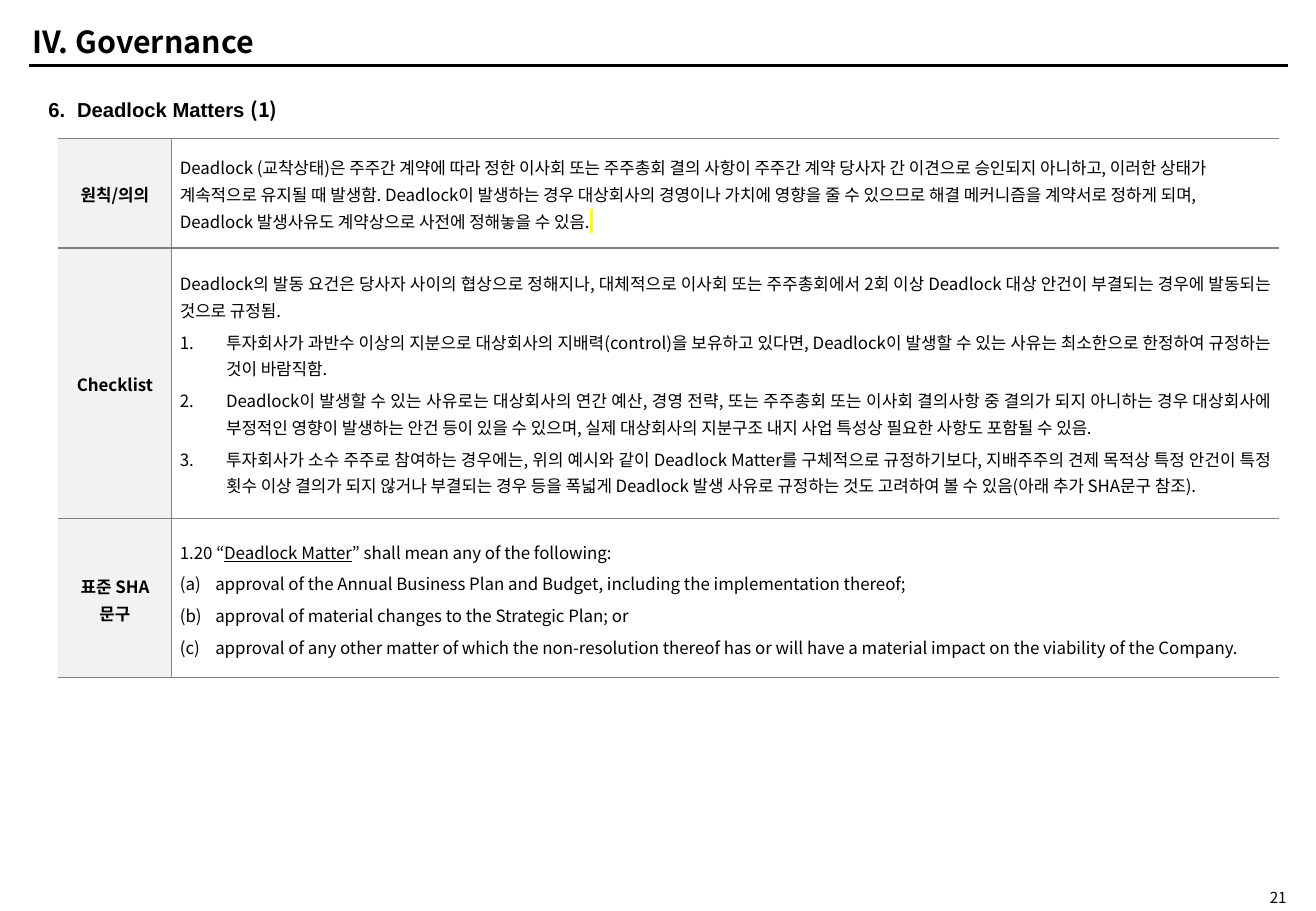
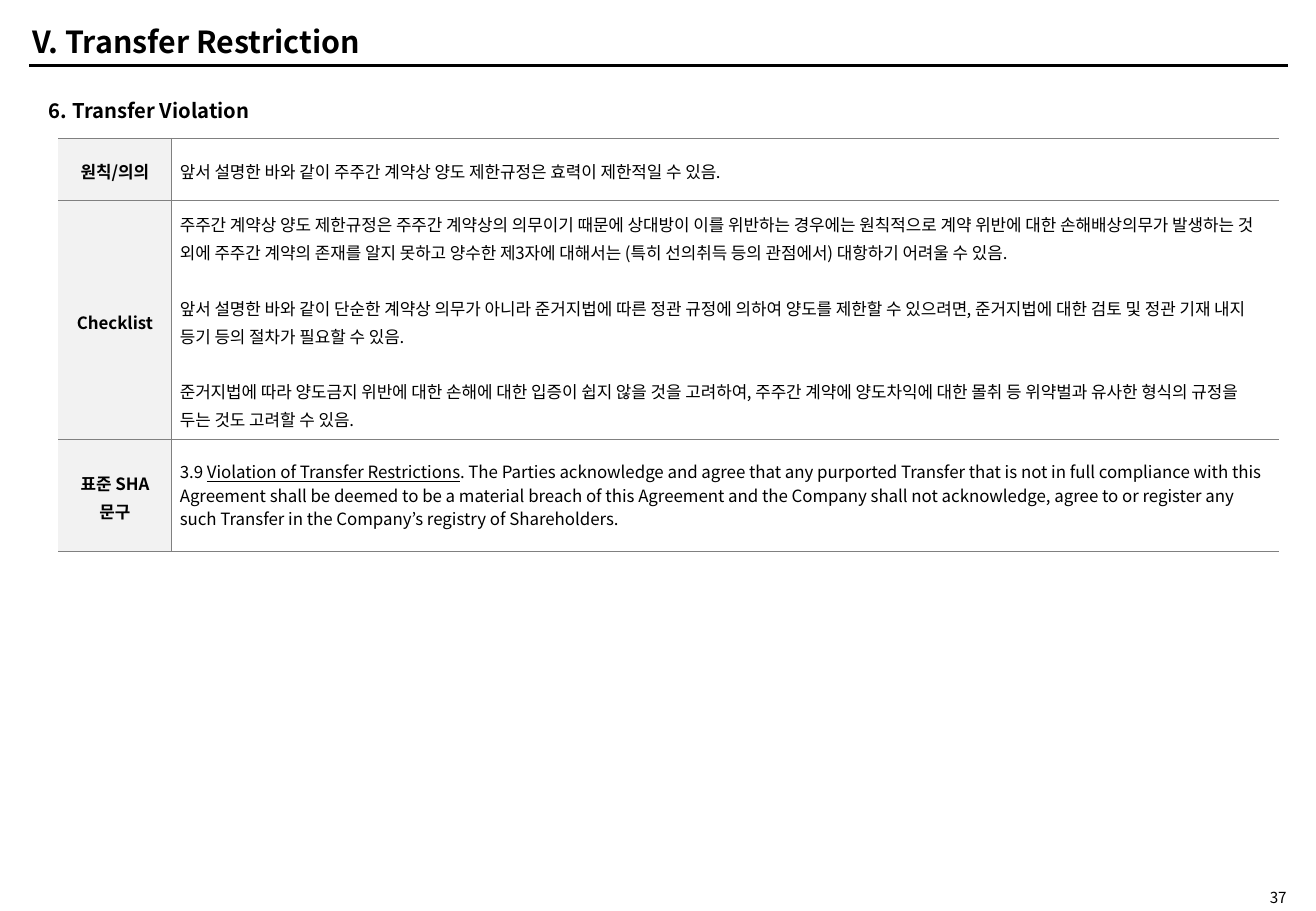
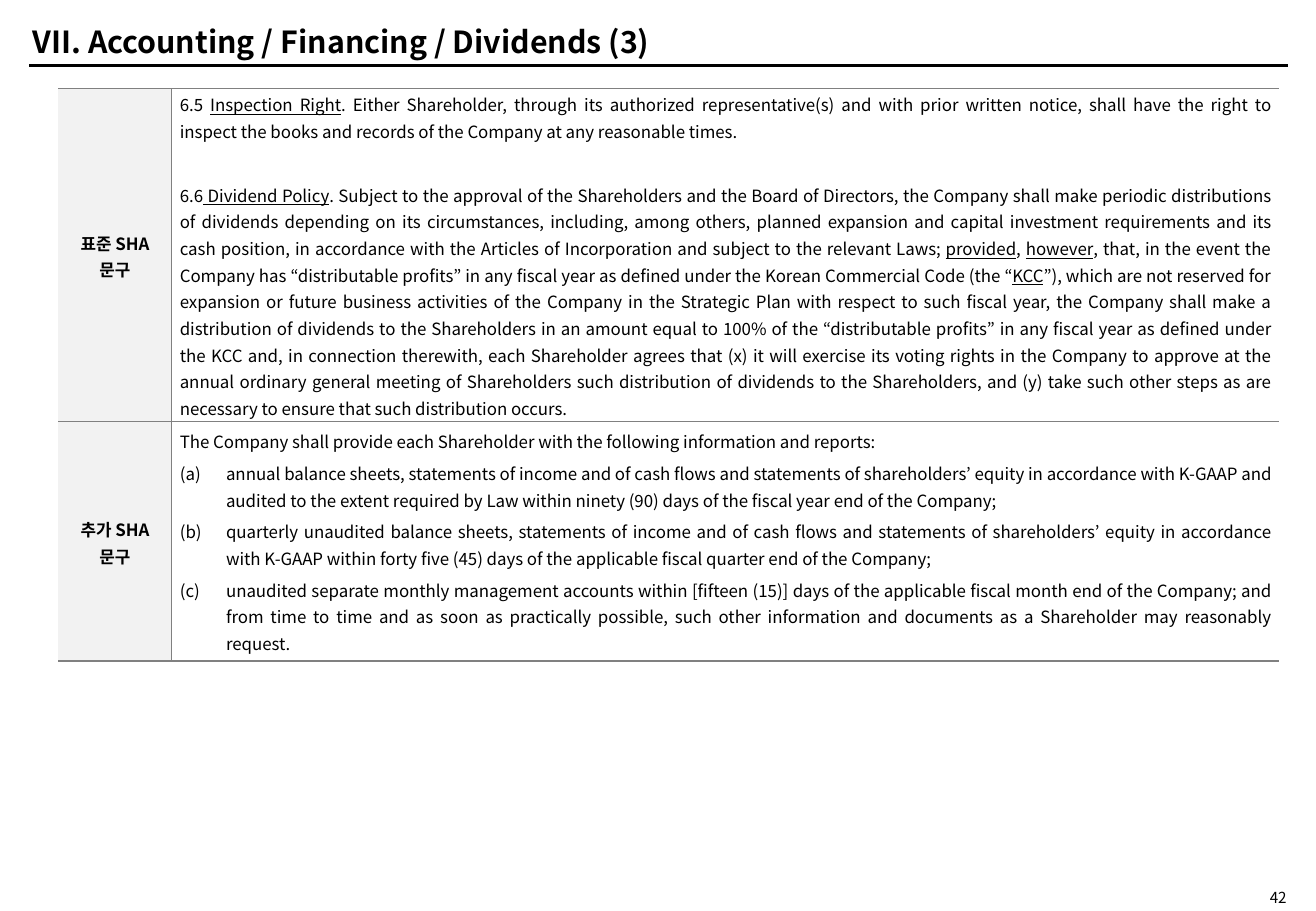
from dataclasses import dataclass
from lxml.etree import SubElement
from pptx import Presentation
from pptx.dml.color import RGBColor as RGB
from pptx.enum.shapes import MSO_CONNECTOR as CONN
from pptx.enum.text import MSO_ANCHOR as ANCHOR, PP_ALIGN as ALIGN
from pptx.oxml.ns import qn
from pptx.util import Pt


@dataclass(frozen=True)
class Theme:
    font: str = "Noto Sans CJK KR"
    latin: str = "Arial"
    ink: str = "000000"
    rule: str = "808080"
    label: str = "F2F2F2"
    mark: str = "FFFF00"
    title: float = 18
    heading: float = 12
    body: float = 10
    page: float = 9


T = Theme()
LEFT, CENTER, RIGHT, JUSTIFY = ALIGN.LEFT, ALIGN.CENTER, ALIGN.RIGHT, ALIGN.JUSTIFY
TABLE_LEFT, COLS = 34.6, (67, 656.6)
NUMBER = dict(bullet="arabicPeriod", indent=27.4)
LETTER = dict(bullet="alphaLcParenBoth", indent=21)
WIDE_LETTER = dict(LETTER, indent=27.4)
U = dict(underline=True)
PRINCIPLE, CHECK, STANDARD, EXTRA = "원칙/의의", "Checklist", "표준 SHA 문구", "추가 SHA 문구"

SLIDES = [
    dict(
        title="IV. Governance", page="21", top=82.1,
        heading=[("6.\tDeadlock Matters ", dict(font=T.latin)), "(1)"],
        heading_fmt=dict(tab=17),
        fmt=dict(line=1.1, after=3),
        rows=[
            (64.8, PRINCIPLE, dict(align=LEFT), [
                (["Deadlock (교착상태)은 주주간 계약에 따라 정한 이사회 또는 주주총회 결의 사항이 주주간 계약 당사자 간 "
                  "이견으로 승인되지 아니하고, 이러한 상태가 계속적으로 유지될 때 발생함. Deadlock이 발생하는 경우 "
                  "대상회사의 경영이나 가치에 영향을 줄 수 있으므로 해결 메커니즘을 계약서로 정하게 되며, Deadlock "
                  "발생사유도 계약상으로 사전에 정해놓을 수 있음.", (" ", dict(highlight=T.mark))], {}),
            ]),
            (160.6, CHECK, dict(align=JUSTIFY), [
                (["Deadlock의 발동 요건은 당사자 사이의 협상으로 정해지나, 대체적으로 이사회 또는 주주총회에서 2회 이상 "
                  "Deadlock 대상 안건이 부결되는 경우에 발동되는 것으로 규정됨."], {}),
                (["투자회사가 과반수 이상의 지분으로 대상회사의 지배력(control)을 보유하고 있다면, Deadlock이 발생할 수 있는 "
                  "사유는 최소한으로 한정하여 규정하는 것이 바람직함."], NUMBER),
                (["Deadlock이 발생할 수 있는 사유로는 대상회사의 연간 예산, 경영 전략, 또는 주주총회 또는 이사회 결의사항 중 "
                  "결의가 되지 아니하는 경우 대상회사에 부정적인 영향이 발생하는 안건 등이 있을 수 있으며, 실제 대상회사의 "
                  "지분구조 내지 사업 특성상 필요한 사항도 포함될 수 있음."], NUMBER),
                (["투자회사가 소수 주주로 참여하는 경우에는, 위의 예시와 같이 Deadlock Matter를 구체적으로 규정하기보다, "
                  "지배주주의 견제 목적상 특정 안건이 특정 횟수 이상 결의가 되지 않거나 부결되는 경우 등을 폭넓게 Deadlock "
                  "발생 사유로 규정하는 것도 고려하여 볼 수 있음(아래 추가 SHA문구 참조)."], NUMBER),
            ]),
            (94.3, STANDARD, dict(align=JUSTIFY), [
                (["1.20 “", ("Deadlock Matter", U), "” shall mean any of the following:"], {}),
                (["approval of the Annual Business Plan and Budget, including the implementation thereof;"], LETTER),
                (["approval of material changes to the Strategic Plan; or"], LETTER),
                (["approval of any other matter of which the non-resolution thereof has or will have a material "
                  "impact on the viability of the Company."], LETTER),
            ]),
        ]),
    dict(
        title="V. Transfer Restriction", page="37", top=82.1,
        heading=["6.\tTransfer Violation"],
        heading_fmt=dict(tab=14.4, line=Pt(15), align=JUSTIFY),
        fmt=dict(line=1.15),
        rows=[
            (36.7, PRINCIPLE, {}, [
                (["앞서 설명한 바와 같이 주주간 계약상 양도 제한규정은 효력이 제한적일 수 있음."], {}),
            ]),
            (141.8, CHECK, {}, [
                (["주주간 계약상 양도 제한규정은 주주간 계약상의 의무이기 때문에 상대방이 이를 위반하는 경우에는 원칙적으로 "
                  "계약 위반에 대한 손해배상의무가 발생하는 것 외에 주주간 계약의 존재를 알지 못하고 양수한 제3자에 대해서는 "
                  "(특히 선의취득 등의 관점에서) 대항하기 어려울 수 있음."], {}),
                (["앞서 설명한 바와 같이 단순한 계약상 의무가 아니라 준거지법에 따른 정관 규정에 의하여 양도를 제한할 수 "
                  "있으려면, 준거지법에 대한 검토 및 정관 기재 내지 등기 등의 절차가 필요할 수 있음."], dict(before=16.6)),
                (["준거지법에 따라 양도금지 위반에 대한 손해에 대한 입증이 쉽지 않을 것을 고려하여, 주주간 계약에 양도차익에 "
                  "대한 몰취 등 위약벌과 유사한 형식의 규정을 두는 것도 고려할 수 있음."], dict(before=16.6)),
            ]),
            (66.2, STANDARD, dict(line=Pt(14)), [
                (["3.9 ", ("Violation of Transfer Restrictions", U),
                  ". The Parties acknowledge and agree that any purported Transfer that is not in full compliance "
                  "with this Agreement shall be deemed to be a material breach of this Agreement and the Company "
                  "shall not acknowledge, agree to or register any such Transfer in the Company’s registry of "
                  "Shareholders."], {}),
            ]),
        ]),
    dict(
        title="VII. Accounting / Financing / Dividends (3)", page="42", top=52.6,
        heading=None,
        fmt=dict(line=1.1, after=3, align=JUSTIFY),
        rows=[
            (197.3, STANDARD, {}, [
                (["6.5 ", ("Inspection Right", U),
                  ". Either Shareholder, through its authorized representative(s) and with prior written notice, "
                  "shall have the right to inspect the books and records of the Company at any reasonable times."], {}),
                (["6.6", (" Dividend Policy", U),
                  ". Subject to the approval of the Shareholders and the Board of Directors, the Company shall make "
                  "periodic distributions of dividends depending on its circumstances, including, among others, "
                  "planned expansion and capital investment requirements and its cash position, in accordance with "
                  "the Articles of Incorporation and subject to the relevant Laws; ", ("provided", U), ", ",
                  ("however", U),
                  ", that, in the event the Company has “distributable profits” in any fiscal year as defined under "
                  "the Korean Commercial Code (the “", ("KCC", U),
                  "”), which are not reserved for expansion or future business activities of the Company in the "
                  "Strategic Plan with respect to such fiscal year, the Company shall make a distribution of "
                  "dividends to the Shareholders in an amount equal to 100% of the “distributable profits” in any "
                  "fiscal year as defined under the KCC and, in connection therewith, each Shareholder agrees that "
                  "(x) it will exercise its voting rights in the Company to approve at the annual ordinary general "
                  "meeting of Shareholders such distribution of dividends to the Shareholders, and (y) take such "
                  "other steps as are necessary to ensure that such distribution occurs."], dict(before=19)),
            ]),
            (141.8, EXTRA, {}, [
                (["The Company shall provide each Shareholder with the following information and reports:"], {}),
                (["annual balance sheets, statements of income and of cash flows and statements of shareholders’ "
                  "equity in accordance with K-GAAP and audited to the extent required by Law within ninety (90) "
                  "days of the fiscal year end of the Company;"], WIDE_LETTER),
                (["quarterly unaudited balance sheets, statements of income and of cash flows and statements of "
                  "shareholders’ equity in accordance with K-GAAP within forty five (45) days of the applicable "
                  "fiscal quarter end of the Company;"], WIDE_LETTER),
                (["unaudited separate monthly management accounts within [fifteen (15)] days of the applicable "
                  "fiscal month end of the Company; and from time to time and as soon as practically possible, such "
                  "other information and documents as a Shareholder may reasonably request."], WIDE_LETTER),
            ]),
        ]),
]


def add_run(p, text, size, bold, font=T.font, underline=None, highlight=None):
    r = p.add_run()
    r.text = text
    f = r.font
    f.size, f.bold, f.name, f.underline = Pt(size), bold, font, underline
    f.color.rgb = RGB.from_string(T.ink)
    rPr = r._r.get_or_add_rPr()
    if highlight:
        hl = SubElement(rPr, qn("a:highlight"))
        SubElement(hl, qn("a:srgbClr"), val=highlight)
        rPr.find(qn("a:solidFill")).addnext(hl)
    ea = SubElement(rPr, qn("a:ea"), typeface=T.font)
    rPr.find(qn("a:latin")).addnext(ea)


def write(p, runs, size=T.body, bold=False, align=LEFT, line=None, before=0, after=0,
          bullet=None, indent=0, tab=None):
    pPr = p._p.get_or_add_pPr()
    if bullet:
        pPr.set("marL", str(Pt(indent)))
        pPr.set("indent", str(-Pt(indent)))
        SubElement(pPr, qn("a:buAutoNum"), type=bullet)
    if tab:
        tabs = SubElement(pPr, qn("a:tabLst"))
        SubElement(tabs, qn("a:tab"), pos=str(Pt(tab)), algn="l")
    p.alignment = align
    p.space_before, p.space_after = Pt(before), Pt(after)
    if line:
        p.line_spacing = line
    for item in runs:
        text, style = (item, {}) if isinstance(item, str) else item
        add_run(p, text, size, bold, **style)


def add_text(s, box, runs, anchor=ANCHOR.MIDDLE, inset=3.6, **fmt):
    tf = s.shapes.add_textbox(*map(Pt, box)).text_frame
    tf.word_wrap = True
    tf.vertical_anchor = anchor
    tf.margin_top = tf.margin_bottom = Pt(inset)
    write(tf.paragraphs[0], runs, **fmt)


def style_cell(cell, drawn, fill):
    cell.vertical_anchor = ANCHOR.MIDDLE
    cell.margin_left = cell.margin_right = Pt(5)
    cell.margin_top = cell.margin_bottom = 0
    tcPr = cell._tc.get_or_add_tcPr()
    for side in "LRTB":
        ln = SubElement(tcPr, qn(f"a:ln{side}"), w=str(Pt(1)))
        if side in drawn:
            SubElement(SubElement(ln, qn("a:solidFill")), qn("a:srgbClr"), val=T.rule)
        else:
            SubElement(ln, qn("a:noFill"))
    if fill:
        cell.fill.solid()
        cell.fill.fore_color.rgb = RGB.from_string(fill)
    else:
        cell.fill.background()


def add_clauses(s, top, rows, fmt):
    heights = [row[0] for row in rows]
    box = (TABLE_LEFT, top, sum(COLS), sum(heights))
    table = s.shapes.add_table(len(rows), len(COLS), *map(Pt, box)).table
    table.first_row = table.horz_banding = False
    for col, width in zip(table.columns, COLS):
        col.width = Pt(width)
    for row, (height, label, row_fmt, paras) in zip(table.rows, rows):
        row.height = Pt(height)
        head, body = row.cells
        style_cell(head, "RTB", T.label)
        style_cell(body, "LTB", None)
        write(head.text_frame.paragraphs[0], [label], **{**fmt, "align": CENTER, "bold": True})
        tf = body.text_frame
        for i, (runs, para_fmt) in enumerate(paras):
            p = tf.add_paragraph() if i else tf.paragraphs[0]
            write(p, runs, **{**fmt, **row_fmt, **para_fmt})


def add_frame(s, title, page):
    rule = s.shapes.add_connector(CONN.STRAIGHT, Pt(17.3), Pt(38.9), Pt(763.2), Pt(38.9))
    rule.line.width = Pt(2)
    rule.line.color.rgb = RGB.from_string(T.ink)
    SubElement(rule._element.spPr, qn("a:effectLst"))
    add_text(s, (702, 526.3, 67.7, 10.8), [page], inset=0, size=T.page, align=RIGHT)
    add_text(s, (12.2, 10.8, 537.8, 27.4), [title], size=T.title, bold=True)


def main():
    prs = Presentation()
    prs.slide_width, prs.slide_height = Pt(780), Pt(540)
    for spec_ in SLIDES:
        s = prs.slides.add_slide(prs.slide_layouts[6])
        add_frame(s, spec_["title"], spec_["page"])
        if spec_["heading"]:
            add_text(s, (21.6, 54, 721.4, 21.6), spec_["heading"], anchor=ANCHOR.TOP,
                     size=T.heading, bold=True, **spec_["heading_fmt"])
        add_clauses(s, spec_["top"], spec_["rows"], spec_["fmt"])
    prs.save("out.pptx")


if __name__ == "__main__":
    main()
